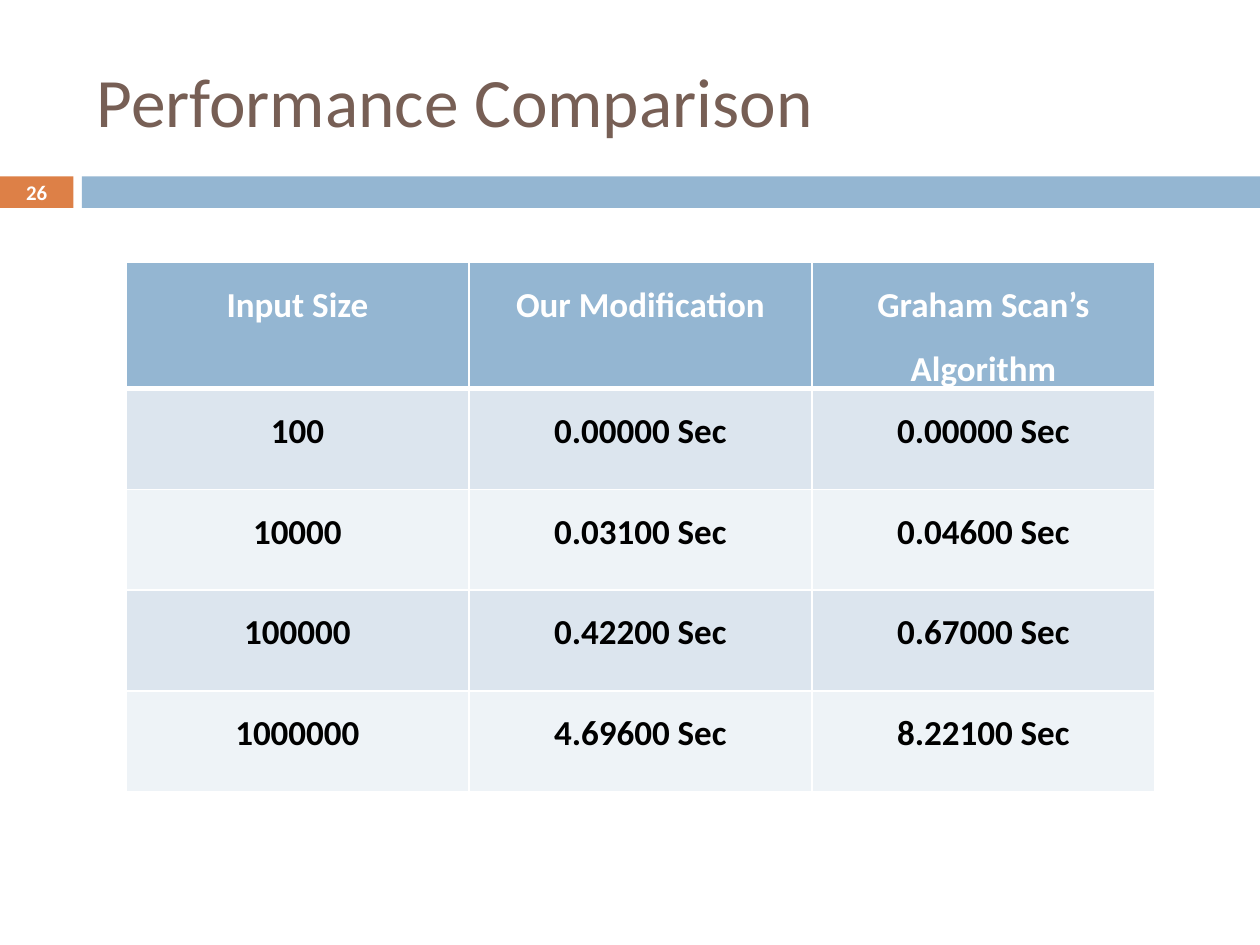
from pptx import Presentation
from pptx.dml.color import RGBColor
from pptx.enum.shapes import MSO_SHAPE
from pptx.enum.text import MSO_ANCHOR, PP_ALIGN
from pptx.oxml import parse_xml
from pptx.oxml.ns import nsdecls
from pptx.util import Pt

WHITE = RGBColor(0xFF, 0xFF, 0xFF)
BLACK = RGBColor(0, 0, 0)
BROWN = RGBColor(0x77, 0x5F, 0x55)
ORANGE = RGBColor(0xDD, 0x80, 0x47)
BLUE = RGBColor(0x94, 0xB6, 0xD2)
BANDS = RGBColor(0xDC, 0xE5, 0xEE), RGBColor(0xEE, 0xF3, 0xF7)

ROWS = [
    ("Input Size", "Our Modification", "Graham Scan’s Algorithm"),
    ("100", "0.00000 Sec", "0.00000 Sec"),
    ("10000", "0.03100 Sec", "0.04600 Sec"),
    ("100000", "0.42200 Sec", "0.67000 Sec"),
    ("1000000", "4.69600 Sec", "8.22100 Sec"),
]


def style(para, size, color, bold=False, align=PP_ALIGN.CENTER):
    para.alignment = align
    font = para.font
    font.name, font.size, font.bold = "Calibri", Pt(size), bold
    font.color.rgb = color


def add_bar(slide, left, width, color):
    bar = slide.shapes.add_shape(
        MSO_SHAPE.RECTANGLE, Pt(left), Pt(100.8), Pt(width), Pt(18))
    bar.shadow.inherit = False
    bar.fill.solid()
    bar.fill.fore_color.rgb = color
    bar.line.fill.background()


def add_text(slide, text, box, *look, **more):
    frame = slide.shapes.add_textbox(*map(Pt, box)).text_frame
    frame.word_wrap = True
    frame.vertical_anchor = MSO_ANCHOR.MIDDLE
    frame.text = text
    style(frame.paragraphs[0], *look, **more)
    return frame


def add_edges(cell, head):
    props = cell._tc.get_or_add_tcPr()
    widths = {"L": 1, "R": 1, "T": 1, "B": 3 if head else 1}
    for spot, (side, width) in enumerate(widths.items()):
        props.insert(spot, parse_xml(
            f'<a:ln{side} {nsdecls("a")} w="{Pt(width)}"><a:solidFill>'
            f'<a:srgbClr val="{WHITE}"/></a:solidFill></a:ln{side}>'))


def fill_cell(cell, text, row):
    head = row == 0
    cell.fill.solid()
    cell.fill.fore_color.rgb = BLUE if head else BANDS[(row - 1) % 2]
    cell.margin_left = cell.margin_right = Pt(5)
    cell.margin_top = cell.margin_bottom = 0
    cell.text = text
    para = cell.text_frame.paragraphs[0]
    para.line_spacing = 1.5
    para.space_after = Pt(10)
    style(para, 20, WHITE if head else BLACK, bold=True)
    add_edges(cell, head)


def add_grid(slide):
    grid = slide.shapes.add_table(
        len(ROWS), len(ROWS[0]), Pt(72), Pt(150), Pt(588), Pt(302.4)).table
    for row, texts in enumerate(ROWS):
        grid.rows[row].height = Pt(57.6 if row else 72)
        for col, text in enumerate(texts):
            fill_cell(grid.cell(row, col), text, row)


def main():
    deck = Presentation()
    deck.slide_width, deck.slide_height = Pt(720), Pt(540)
    slide = deck.slides.add_slide(deck.slide_layouts[6])
    add_bar(slide, 0, 42, ORANGE)
    add_bar(slide, 46.8, 673.2, BLUE)
    add_text(slide, "Performance Comparison", (48.2, 18, 642.2, 78),
             39.6, BROWN, align=PP_ALIGN.LEFT)
    page = add_text(slide, "26", (0, 100, 42, 19.4), 11.9, WHITE, bold=True)
    page.margin_top = page.margin_bottom = 0
    add_grid(slide)
    deck.save("out.pptx")


if __name__ == "__main__":
    main()
